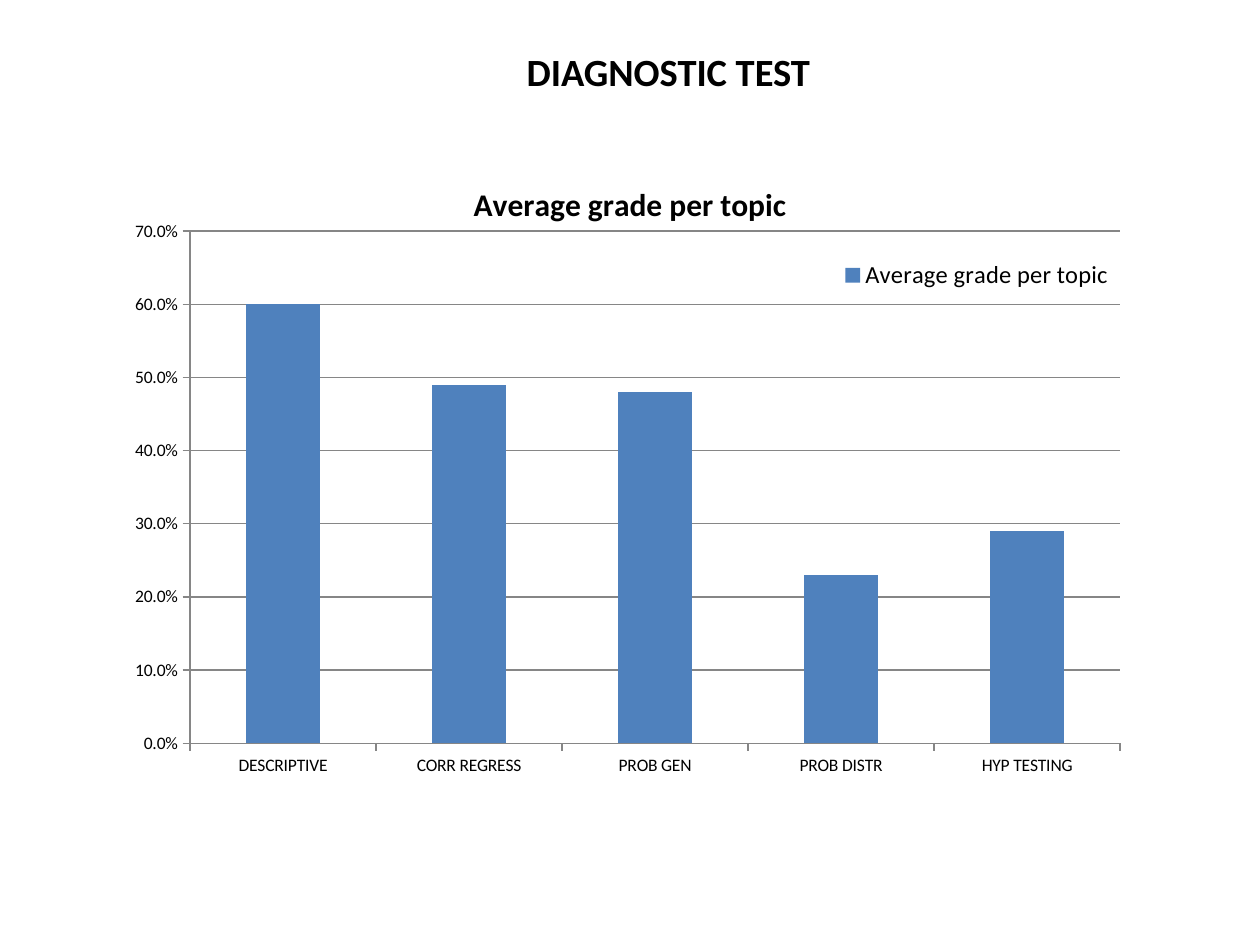
from lxml.etree import SubElement
from pptx import Presentation
from pptx.chart.data import CategoryChartData
from pptx.dml.color import RGBColor
from pptx.enum.chart import XL_CHART_TYPE, XL_LEGEND_POSITION, XL_TICK_MARK
from pptx.enum.text import MSO_ANCHOR, MSO_AUTO_SIZE, PP_ALIGN
from pptx.oxml.ns import qn
from pptx.util import Inches, Pt

# Content
TITLE = "DIAGNOSTIC TEST"
SERIES_NAME = "Average grade per topic"
GRADES = {
    "DESCRIPTIVE": 0.6,
    "CORR REGRESS": 0.49,
    "PROB GEN": 0.48,
    "PROB DISTR": 0.23,
    "HYP TESTING": 0.29,
}
FONT = "Calibri"
BLACK = RGBColor(0, 0, 0)
BLUE = RGBColor(0x4F, 0x81, 0xBD)
GRAY = RGBColor(0x86, 0x86, 0x86)


def style_font(font, size, bold=False):
    font.name = FONT
    font.size = Pt(size)
    font.bold = bold
    font.color.rgb = BLACK


def place_in_chart(element, position, inner=False):
    """Give a chart part a manual layout in fractions of the chart."""
    layout = element.find(qn("c:layout"))
    if layout is None:
        layout = SubElement(element, qn("c:layout"))
        # A legend keeps its position element first
        element.insert(0 if element.find(qn("c:legendPos")) is None else 1, layout)
    for child in list(layout):
        layout.remove(child)
    manual = SubElement(layout, qn("c:manualLayout"))
    if inner:
        SubElement(manual, qn("c:layoutTarget")).set("val", "inner")
    for key in ("xMode", "yMode"):
        SubElement(manual, qn(f"c:{key}")).set("val", "edge")
    for key, value in zip("xywh", position):
        SubElement(manual, qn(f"c:{key}")).set("val", str(value))


presentation = Presentation()
presentation.slide_width = Inches(10)
presentation.slide_height = Inches(7.5)
slide = presentation.slides.add_slide(presentation.slide_layouts[5])

# Slide title
title = slide.shapes.title
title.left, title.top = Inches(4.08), Inches(0.33)
title.width, title.height = Inches(2.48), Inches(0.47)
text_frame = title.text_frame
text_frame.text = TITLE
text_frame.word_wrap = False
text_frame.auto_size = MSO_AUTO_SIZE.SHAPE_TO_FIT_TEXT
text_frame.vertical_anchor = MSO_ANCHOR.TOP
paragraph = text_frame.paragraphs[0]
paragraph.alignment = PP_ALIGN.LEFT
style_font(paragraph.runs[0].font, 22, bold=True)

# Column chart
chart_data = CategoryChartData(number_format="0.0%")
chart_data.categories = list(GRADES)
chart_data.add_series(SERIES_NAME, list(GRADES.values()))
chart = slide.shapes.add_chart(
    XL_CHART_TYPE.COLUMN_CLUSTERED,
    Inches(0.94), Inches(1.25), Inches(8.12), Inches(5), chart_data,
).chart
style_font(chart.font, 10)

plot = chart.plots[0]
plot.gap_width = 150
plot.vary_by_categories = False
fill = plot.series[0].format.fill
fill.solid()
fill.fore_color.rgb = BLUE

# Chart title, centred above the plot
chart.has_title = True
chart_title = chart.chart_title
chart_title.text_frame.text = SERIES_NAME
style_font(chart_title.text_frame.paragraphs[0].runs[0].font, 18, bold=True)
chart_title.include_in_layout = False

# Legend over the plot
chart.has_legend = True
legend = chart.legend
legend.position = XL_LEGEND_POSITION.RIGHT
legend.include_in_layout = False
style_font(legend.font, 14)

# Places of the plot and the legend
chart_element = chart.element.find(qn("c:chart"))
place_in_chart(chart_element.find(qn("c:plotArea")), (0.07, 0.117, 0.909, 0.813), inner=True)
place_in_chart(chart_element.find(qn("c:legend")), (0.704, 0.142, 0.27, 0.09))

# Axes
value_axis = chart.value_axis
value_axis.minimum_scale, value_axis.maximum_scale = 0, 0.7
value_axis.major_unit = 0.1
value_axis.has_major_gridlines = True
value_axis.major_gridlines.format.line.color.rgb = GRAY
value_axis.tick_labels.number_format = "0.0%"
value_axis.tick_labels.number_format_is_linked = False
for axis in (chart.category_axis, value_axis):
    axis.major_tick_mark = XL_TICK_MARK.OUTSIDE
    axis.minor_tick_mark = XL_TICK_MARK.NONE
    axis.format.line.color.rgb = GRAY
    style_font(axis.tick_labels.font, 10)

presentation.save("out.pptx")
